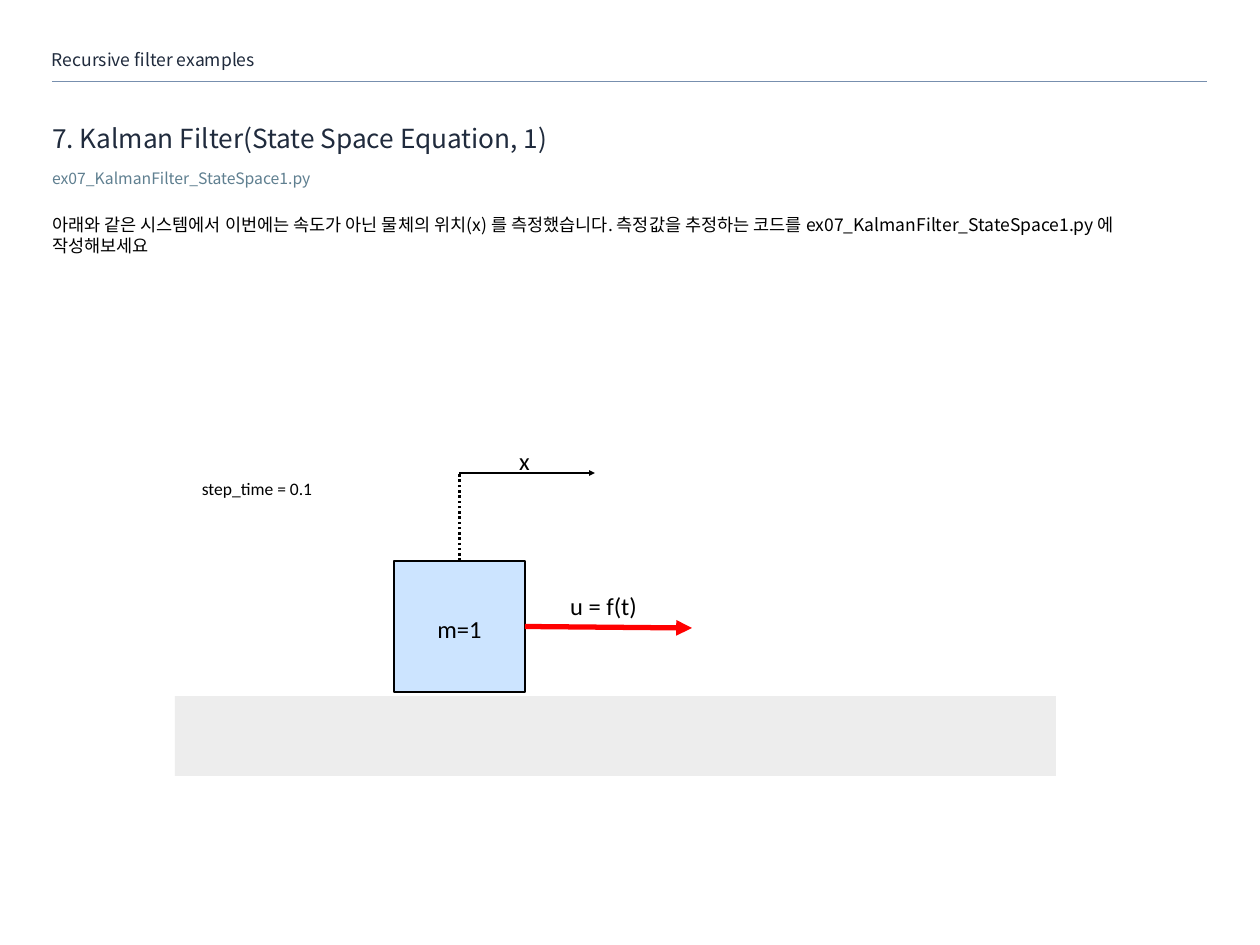
from pptx import Presentation
from pptx.dml.color import RGBColor
from pptx.enum.dml import MSO_LINE
from pptx.enum.shapes import MSO_CONNECTOR, MSO_SHAPE
from pptx.enum.text import MSO_ANCHOR, PP_ALIGN
from pptx.oxml.ns import qn
from pptx.util import Pt
from lxml.etree import SubElement

EMU_PER_PX = 914400 / 63


def px(*lengths):
    return [round(length * EMU_PER_PX) for length in lengths]


def color(hex_string):
    return RGBColor.from_string(hex_string)


presentation = Presentation()
presentation.slide_width, presentation.slide_height = px(1260, 945)
slide = presentation.slides.add_slide(presentation.slide_layouts[6])
shapes = slide.shapes

# Ground
ground = shapes.add_shape(MSO_SHAPE.RECTANGLE, *px(175, 696, 881, 80))
ground.line.fill.background()

# Mass
mass = shapes.add_shape(MSO_SHAPE.RECTANGLE, *px(394, 561, 131, 131))
mass.line.color.rgb = color("000000")
mass.line.width = Pt(2.25)

for shape, fill in [(ground, "EDEDED"), (mass, "CCE4FF")]:
    shape.shadow.inherit = False
    shape.fill.solid()
    shape.fill.fore_color.rgb = color(fill)

# Header rule, force arrow, dotted guide and position arrow
# (ends, colour, width, dash, arrowhead, side of the mass it starts from)
for ends, stroke, width, dash, arrowhead, side in [
    ((52, 81, 1207, 81), "778FAE", 0.25, None, False, None),
    ((525, 627, 692, 628), "FF0000", 6, None, True, 3),
    ((459, 561, 459, 473), "000000", 3, MSO_LINE.ROUND_DOT, False, 0),
    ((459, 473, 595, 473), "000000", 2.25, None, True, None),
]:
    connector = shapes.add_connector(MSO_CONNECTOR.STRAIGHT, *px(*ends))
    if side is not None:
        connector.begin_connect(mass, side)
    if side == 0:
        connector.end_x = connector.begin_x
    connector.line.color.rgb = color(stroke)
    connector.line.width = Pt(width)
    if dash:
        connector.line.dash_style = dash
    properties = connector._element.spPr
    if arrowhead:
        SubElement(properties.find(qn("a:ln")), qn("a:tailEnd"), type="triangle")
    SubElement(properties, qn("a:effectLst"))

# Headings and diagram labels
heading, label = "Noto Sans CJK KR", "Calibri"
middle, top = MSO_ANCHOR.MIDDLE, MSO_ANCHOR.TOP
dense = {"line_spacing": 0.9}
centered = {"alignment": PP_ALIGN.CENTER}

# (text, box, inset, anchor, font, size, colour, paragraph format)
for text, box, inset, anchor, font, size, ink, layout in [
    ("Recursive filter examples", (52, 47, 978, 27), 0, middle,
     heading, 20, "202B3D", dense),
    ("7. Kalman Filter(State Space Equation, 1)", (52, 119, 1155, 41), 0, middle,
     heading, 30, "202B3D", dense),
    ("ex07_KalmanFilter_StateSpace1.py", (52, 171, 1155, 42), 0, top,
     heading, 18, "5F7F90", {"line_spacing": 0.9, "space_before": Pt(5.2)}),
    ("아래와 같은 시스템에서 이번에는 속도가 아닌 물체의 위치(x) 를 측정했습니다. "
     "측정값을 추정하는 코드를 ex07_KalmanFilter_StateSpace1.py 에 작성해보세요",
     (52, 214, 1155, 42), 0, top,
     heading, 20, "000000", {"space_before": Pt(13.5)}),
    ("u = f(t)", (538, 585, 131, 41), 6, top, label, 28, "000000", centered),
    ("m=1", (394, 608, 131, 41), 6, top, label, 28, "000000", centered),
    ("x", (459, 440, 131, 41), 6, top, label, 28, "000000", centered),
    ("step_time = 0.1", (164, 472, 186, 33), 6, top, label, 20, "000000", centered),
]:
    text_frame = shapes.add_textbox(*px(*box)).text_frame
    margin = px(inset)[0]
    frame_format = {"word_wrap": True, "vertical_anchor": anchor,
                    "margin_left": margin, "margin_right": margin,
                    "margin_top": margin, "margin_bottom": margin}
    for attribute, value in frame_format.items():
        setattr(text_frame, attribute, value)
    paragraph = text_frame.paragraphs[0]
    for attribute, value in layout.items():
        setattr(paragraph, attribute, value)
    run = paragraph.add_run()
    run.text = text
    for attribute, value in {"name": font, "size": Pt(size)}.items():
        setattr(run.font, attribute, value)
    run.font.color.rgb = color(ink)
    if font == heading:
        # Pair kerning off
        run._r.get_or_add_rPr().set("kern", "0")

presentation.save("out.pptx")
